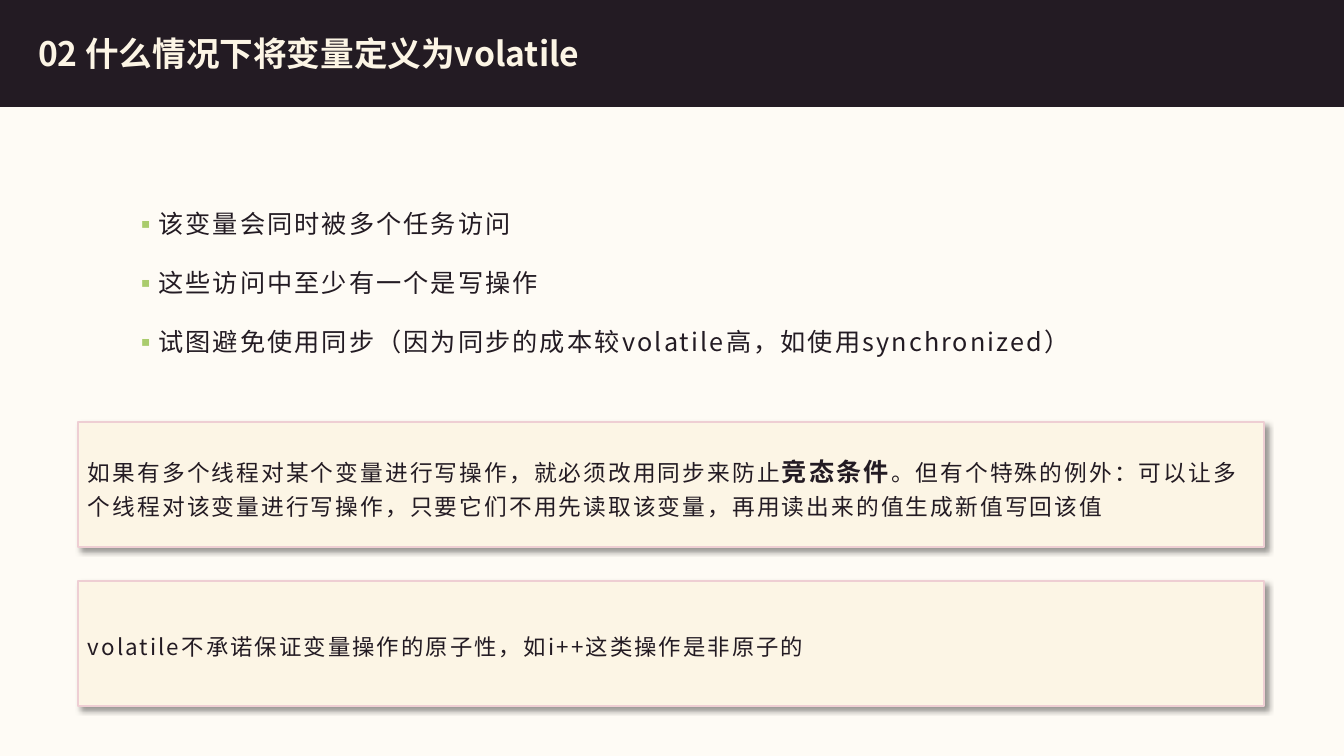
"""Build a slide on when to declare a variable volatile."""
from lxml import etree
from pptx import Presentation
from pptx.dml.color import RGBColor
from pptx.enum.shapes import MSO_SHAPE
from pptx.enum.text import MSO_ANCHOR, MSO_AUTO_SIZE, PP_ALIGN
from pptx.oxml.ns import qn
from pptx.util import Pt

RECTANGLE = MSO_SHAPE.RECTANGLE
TOP, MIDDLE = MSO_ANCHOR.TOP, MSO_ANCHOR.MIDDLE
NO_AUTOFIT = MSO_AUTO_SIZE.NONE
LEFT = PP_ALIGN.LEFT

DARK = RGBColor(0x23, 0x1B, 0x23)
CREAM = RGBColor(0xFC, 0xF5, 0xE5)
PAPER = RGBColor(0xFE, 0xFB, 0xF5)
PINK = RGBColor(0xEE, 0xCE, 0xD3)
GREEN = RGBColor(0xAA, 0xCC, 0x6D)
BLACK = RGBColor(0, 0, 0)

TITLE_FONT, BODY_FONT = "Noto Sans CJK JP", "Noto Sans CJK SC"
SLIDE_WIDTH, SLIDE_HEIGHT = 1344, 756
EMU_PER_PX = 12192000 / SLIDE_WIDTH

TITLE = "02 什么情况下将变量定义为volatile"
CONDITIONS = [
    "该变量会同时被多个任务访问",
    "这些访问中至少有一个是写操作",
    "试图避免使用同步（因为同步的成本较volatile高，如使用synchronized）",
]
NOTES = [
    [
        ("如果有多个线程对某个变量进行写操作，就必须改用同步来防止", 16.2, False),
        ("竞态条件", 18, True),
        ("。但有个特殊的例外：可以让多个线程对该变量进行写操作，"
         "只要它们不用先读取该变量，再用读出来的值生成新值写回该值", 16.2, False),
    ],
    [("volatile不承诺保证变量操作的原子性，如i++这类操作是非原子的", 16, False)],
]

BAND = (0, 0, SLIDE_WIDTH, 106)
TITLE_AREA = (28, 23, 1002, 60)
LIST_AREA = (123, 196, 1141, 203)
NOTE_LEFT, NOTE_TOP, NOTE_WIDTH, NOTE_HEIGHT = 78, 422, 1186, 125
NOTE_STEP = 159
BULLET_INDENT = 25
LINE_SPACING, PARAGRAPH_GAP = 1.25, 15


def emu(px):
    """Turn px into EMU."""
    return round(px * EMU_PER_PX)


def add_child(parent, tag, **attributes):
    """Append an XML element with the given attributes."""
    child = etree.SubElement(parent, qn(tag))
    for name, value in attributes.items():
        child.set(name, str(value))
    return child


def add_text(para, text, size, font=BODY_FONT, color=DARK, bold=False, tracking=150):
    """Add a formatted span to a paragraph."""
    span = para.add_run()
    span.text = text
    span.font.size = Pt(size)
    span.font.bold = bold
    span.font.color.rgb = color
    span.font.name = font
    properties = span.font._element
    properties.set("spc", str(tracking))
    add_child(properties, "a:ea", typeface=font)


def set_bullet(para):
    """Give a paragraph a green square bullet and a hanging indent."""
    properties = para._p.get_or_add_pPr()
    properties.set("marL", str(emu(BULLET_INDENT)))
    properties.set("indent", str(-emu(BULLET_INDENT)))
    add_child(add_child(properties, "a:buClr"), "a:srgbClr", val=GREEN)
    add_child(properties, "a:buFont", typeface=BODY_FONT)
    add_child(properties, "a:buChar", char="▪")


def place(shape, area):
    """Move and size a shape to an area in px."""
    shape.left, shape.top, shape.width, shape.height = map(emu, area)


def set_frame(shape, anchor):
    """Prepare a text frame and return it."""
    frame = shape.text_frame
    frame.word_wrap = True
    frame.auto_size = NO_AUTOFIT
    frame.vertical_anchor = anchor
    return frame


def space(para, before=0, line=LINE_SPACING):
    """Set alignment and spacing of a paragraph."""
    para.alignment = LEFT
    para.line_spacing = line
    para.space_before = Pt(before)
    para.space_after = Pt(0)


def add_box(slide, area, fill, line):
    """Add a plain filled rectangle."""
    box = slide.shapes.add_shape(RECTANGLE, *map(emu, area))
    box.fill.solid()
    box.fill.fore_color.rgb = fill
    box.line.color.rgb = line
    box.line.width = Pt(1)
    box.shadow.inherit = False
    return box


def add_shadow(box):
    """Give a box a soft shadow to the lower right."""
    effects = box._element.spPr.find(qn("a:effectLst"))
    shadow = add_child(effects, "a:outerShdw", blurRad=Pt(4), dist=Pt(3),
                       dir=45 * 60000, algn="tl", rotWithShape=0)
    add_child(add_child(shadow, "a:srgbClr", val=BLACK), "a:alpha", val=40000)


def add_note(slide, index, spans):
    """Add one shadowed note box."""
    top = NOTE_TOP + index * NOTE_STEP
    box = add_box(slide, (NOTE_LEFT, top, NOTE_WIDTH, NOTE_HEIGHT), CREAM, PINK)
    add_shadow(box)
    para = set_frame(box, MIDDLE).paragraphs[0]
    space(para)
    for text, size, bold in spans:
        add_text(para, text, size, bold=bold)


def main():
    """Build and save the deck."""
    deck = Presentation()
    deck.slide_width, deck.slide_height = emu(SLIDE_WIDTH), emu(SLIDE_HEIGHT)
    slide = deck.slides.add_slide(deck.slide_layouts[1])
    slide.background.fill.solid()
    slide.background.fill.fore_color.rgb = PAPER

    band = add_box(slide, BAND, DARK, DARK)
    title, body = slide.placeholders
    title._element.addprevious(band._element)

    place(title, TITLE_AREA)
    heading = set_frame(title, MIDDLE).paragraphs[0]
    space(heading, line=1.0)
    add_text(heading, TITLE, 24, font=TITLE_FONT, color=CREAM, bold=True, tracking=0)

    place(body, LIST_AREA)
    frame = set_frame(body, TOP)
    for index, condition in enumerate(CONDITIONS):
        para = frame.add_paragraph() if index else frame.paragraphs[0]
        set_bullet(para)
        space(para, before=PARAGRAPH_GAP if index else 0)
        add_text(para, condition, 18)

    for index, spans in enumerate(NOTES):
        add_note(slide, index, spans)
    deck.save("out.pptx")


if __name__ == "__main__":
    main()
